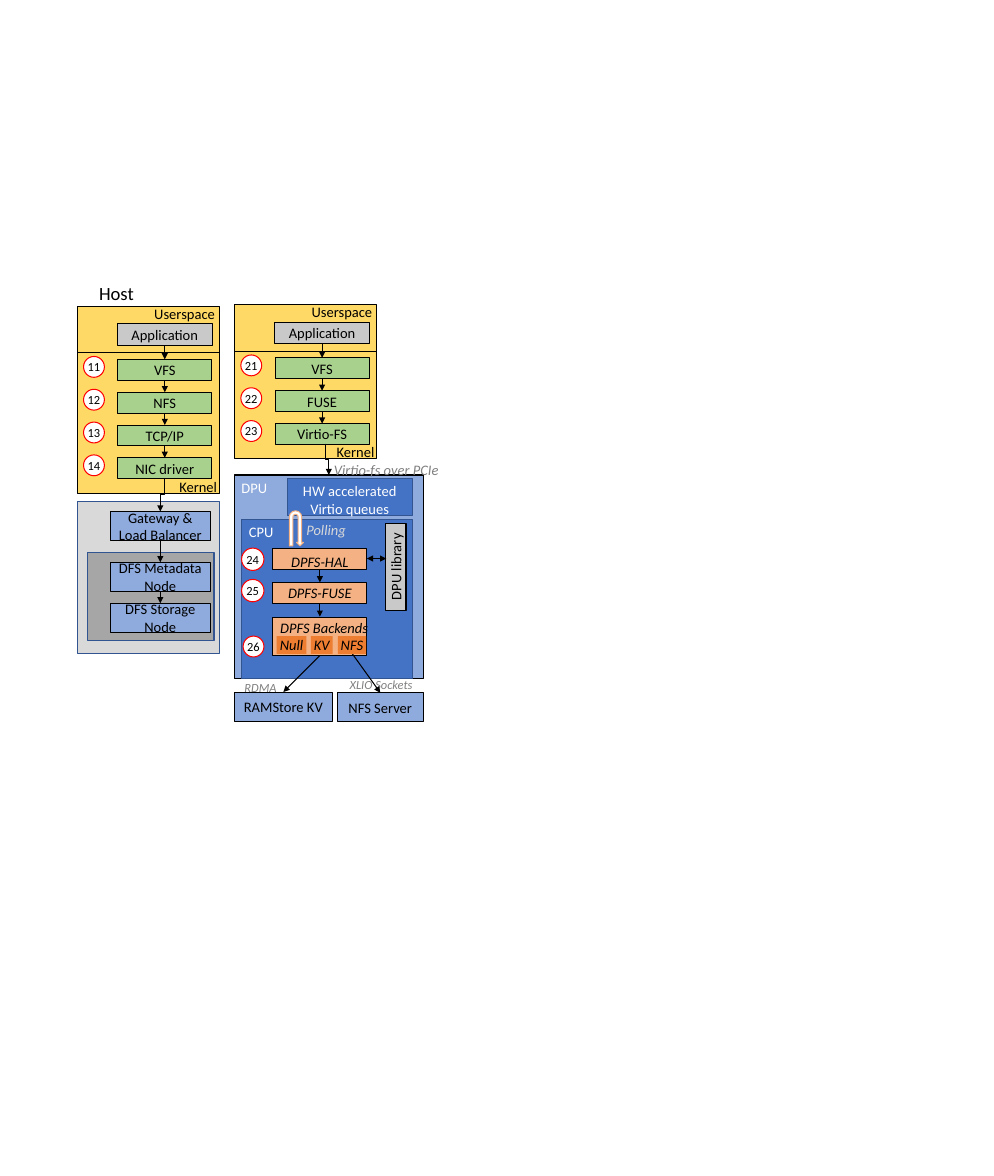
from dataclasses import dataclass
from typing import Optional

from lxml import etree
from pptx import Presentation
from pptx import util as u
from pptx.dml.color import RGBColor
from pptx.enum import shapes, text
from pptx.oxml import ns

Inches = u.Inches
KIND = shapes.MSO_SHAPE
ALIGN = text.PP_ALIGN
ANCHOR = text.MSO_ANCHOR
FONT = "Calibri"
COLORS = {
    "black": "000000", "white": "FFFFFF", "red": "FF0000", "navy": "325491",
    "panel": "D9D9D9", "cluster": "A6A6A6", "app": "C9C9C9", "note": "808080",
    "host": "FFD966", "layer": "A9D18E", "node": "8FAADC", "chip": "4472C4",
    "dpfs": "F4B183", "backend": "ED7D31",
}


@dataclass
class Box:
    x: float
    y: float
    w: float
    h: float
    fill: str
    text: str = ""
    line: Optional[str] = "black"
    color: str = "black"
    size: int = 14
    italic: bool = False
    align: ALIGN = ALIGN.CENTER
    anchor: ANCHOR = ANCHOR.MIDDLE
    wrap: bool = True
    inset: tuple[float, float] = (0.1, 0.05)
    kind: KIND = KIND.RECTANGLE
    rotation: int = 0
    adjust: tuple[float, ...] = ()


@dataclass
class Label:
    x: float
    y: float
    w: float
    h: float
    text: str
    color: str = "black"
    size: int = 14
    italic: bool = False
    align: ALIGN = ALIGN.LEFT
    anchor: ANCHOR = ANCHOR.TOP
    wrap: bool = False
    inset: tuple[float, float] = (0.1, 0.05)


@dataclass
class Line:
    x1: float
    y1: float
    x2: float
    y2: float
    ends: tuple[str, ...] = ("tailEnd",)
    bent: bool = False


def rgb(name: str) -> RGBColor:
    return RGBColor.from_string(COLORS[name])


def write(s, item: Box | Label) -> None:
    tf = s.text_frame
    tf.word_wrap = item.wrap
    tf.vertical_anchor = item.anchor
    tf.margin_left = tf.margin_right = Inches(item.inset[0])
    tf.margin_top = tf.margin_bottom = Inches(item.inset[1])
    for i, words in enumerate(item.text.split("\n")):
        p = tf.add_paragraph() if i else tf.paragraphs[0]
        p.alignment = item.align
        r = p.add_run()
        r.text = words
        r.font.name = FONT
        r.font.size = u.Pt(item.size)
        r.font.italic = item.italic
        r.font.color.rgb = rgb(item.color)


def draw_box(b: Box) -> None:
    s = sp.add_shape(b.kind, Inches(b.x), Inches(b.y), Inches(b.w), Inches(b.h))
    s.shadow.inherit = False
    s.rotation = b.rotation
    for i, value in enumerate(b.adjust):
        s.adjustments[i] = value
    s.fill.solid()
    s.fill.fore_color.rgb = rgb(b.fill)
    if b.line:
        s.line.color.rgb = rgb(b.line)
        s.line.width = u.Pt(1)
    else:
        s.line.fill.background()
    if b.text:
        write(s, b)


def draw_label(t: Label) -> None:
    write(sp.add_textbox(Inches(t.x), Inches(t.y), Inches(t.w), Inches(t.h)), t)


def draw_line(n: Line) -> None:
    points = n.x1, n.y1, n.x2, n.y2
    leftward = n.x1 > n.x2
    if n.bent:
        length, width = n.y2 - n.y1, abs(n.x2 - n.x1)
        left = (n.x1 + n.x2 - length) / 2
        top = (n.y1 + n.y2 - width) / 2
        near, far = (left, left + length) if leftward else (left + length, left)
        points = near, top, far, top + width
    kind = shapes.MSO_CONNECTOR.ELBOW if n.bent else shapes.MSO_CONNECTOR.STRAIGHT
    s = sp.add_connector(kind, *map(Inches, points))
    s.line.color.rgb = rgb("black")
    s.line.width = u.Pt(1)
    props = s._element.spPr
    if n.bent:
        props.xfrm.set("rot", str((90 if leftward else 270) * 60000))
    for end in n.ends:
        etree.SubElement(s.line._get_or_add_ln(), ns.qn(f"a:{end}"), type="triangle")
    etree.SubElement(props, ns.qn("a:effectLst"))


def draw_badge(x: float, y: float, number: int, d: float = 0.28) -> None:
    draw_box(Box(x, y, d, d, "white", str(number), line="red", size=12,
                 wrap=False, kind=KIND.OVAL))


def draw_host(x: float, y: float, h: float, layers: list[str], first: int) -> None:
    draw_box(Box(x, y, 1.9, h, "host"))
    draw_box(Box(x + 0.53, y + 0.23, 1.28, 0.29, "app", "Application"))
    draw_line(Line(x, y + 0.62, x + 1.9, y + 0.62, ()))
    draw_label(Label(x + 0.93, y - 0.07, 1.02, 0.34, "Userspace"))
    draw_label(Label(x + 0.93, y + h - 0.26, 1.04, 0.34, "Kernel",
                     align=ALIGN.RIGHT, wrap=True))
    for i, name in enumerate(layers):
        top = y + 0.71 + 0.44 * i
        draw_box(Box(x + 0.54, top, 1.26, 0.28, "layer", name))
        draw_line(Line(x + 1.17, top - (0.16 if i else 0.19), x + 1.17, top))
        draw_badge(x + 0.08, top - 0.04, first + i)


prs = Presentation()
prs.slide_width, prs.slide_height = Inches(13.33), Inches(15.77)
sp = prs.slides.add_slide(prs.slide_layouts[6]).shapes

draw_box(Box(1.04, 6.72, 1.9, 2.04, "panel", line="navy"))
draw_box(Box(1.18, 7.41, 1.69, 1.18, "cluster", line="navy"))
draw_label(Label(1.23, 3.73, 0.67, 0.4, "Host", size=18))
draw_host(1.04, 4.11, 2.51, ["VFS", "NFS", "TCP/IP", "NIC driver"], 11)
nodes = [(6.86, "Gateway &\nLoad Balancer"), (7.54, "DFS Metadata Node"),
         (8.09, "DFS Storage Node")]
for y, name in nodes:
    draw_box(Box(1.48, y, 1.34, 0.39, "node", name))
for (upper, _), (lower, _) in zip(nodes, nodes[1:]):
    draw_line(Line(2.15, upper + 0.39, 2.15, lower))
draw_line(Line(2.21, 6.41, 2.15, 6.86, bent=True))

draw_box(Box(3.14, 6.37, 2.54, 2.73, "node", "DPU", color="white",
             align=ALIGN.LEFT, anchor=ANCHOR.TOP))
draw_box(Box(3.85, 6.42, 1.68, 0.49, "chip", "HW accelerated\nVirtio queues",
             line="navy", color="white", anchor=ANCHOR.TOP))
draw_label(Label(4.38, 6.13, 1.64, 0.34, "Virtio-fs over PCIe", "note",
                 italic=True, wrap=True))
draw_box(Box(3.24, 6.97, 2.29, 2.13, "chip", "CPU", line="navy", color="white",
             align=ALIGN.LEFT, anchor=ANCHOR.TOP))
draw_box(Box(4.52, 9.29, 1.16, 0.39, "node", "NFS Server"))
draw_box(Box(3.14, 9.28, 1.32, 0.39, "node", "RAMStore KV"))
draw_line(Line(4.32, 8.76, 3.8, 9.28))
draw_label(Label(4.01, 6.94, 0.74, 0.34, "Polling", "panel", italic=True))
draw_label(Label(3.18, 9.07, 0.64, 0.3, "RDMA", "note", 12, True))
draw_label(Label(4.59, 9.03, 1.06, 0.5, "XLIO Sockets", "note", 12, True))
draw_box(Box(3.66, 7.36, 1.26, 0.28, "dpfs", "DPFS-HAL", italic=True,
             anchor=ANCHOR.TOP))
draw_box(Box(3.66, 7.81, 1.26, 0.28, "dpfs", "DPFS-FUSE", italic=True))
draw_box(Box(3.66, 8.28, 1.26, 0.51, "dpfs", "DPFS Backends", italic=True,
             align=ALIGN.LEFT, anchor=ANCHOR.TOP, wrap=False, inset=(0.1, 0.02)))
draw_box(Box(4.72, 7.46, 1.17, 0.28, "app", "DPU library", rotation=270))
draw_box(Box(3.88, 6.85, 0.19, 0.47, "white", line="dpfs", kind=KIND.U_TURN_ARROW,
             adjust=(0.25, 0.25, 0.25, 0.44, 1)))
for y in (7.63, 8.09):
    draw_line(Line(4.29, y, 4.29, y + 0.18))
draw_line(Line(4.72, 8.76, 5.1, 9.29))
draw_line(Line(4.92, 7.49, 5.18, 7.49, ("headEnd", "tailEnd")))
draw_badge(3.24, 7.35, 24, 0.3)
draw_badge(3.24, 7.77, 25, 0.3)
draw_badge(3.26, 8.53, 26)
for x, w, name in [(3.71, 0.4, "Null"), (4.17, 0.29, "KV"), (4.53, 0.38, "NFS")]:
    draw_box(Box(x, 8.53, w, 0.24, "backend", name, line=None, italic=True,
                 wrap=False, inset=(0.04, 0)))

draw_host(3.15, 4.09, 2.06, ["VFS", "FUSE", "Virtio-FS"], 21)
draw_line(Line(4.37, 5.95, 4.41, 6.37, bent=True))

prs.save("out.pptx")
